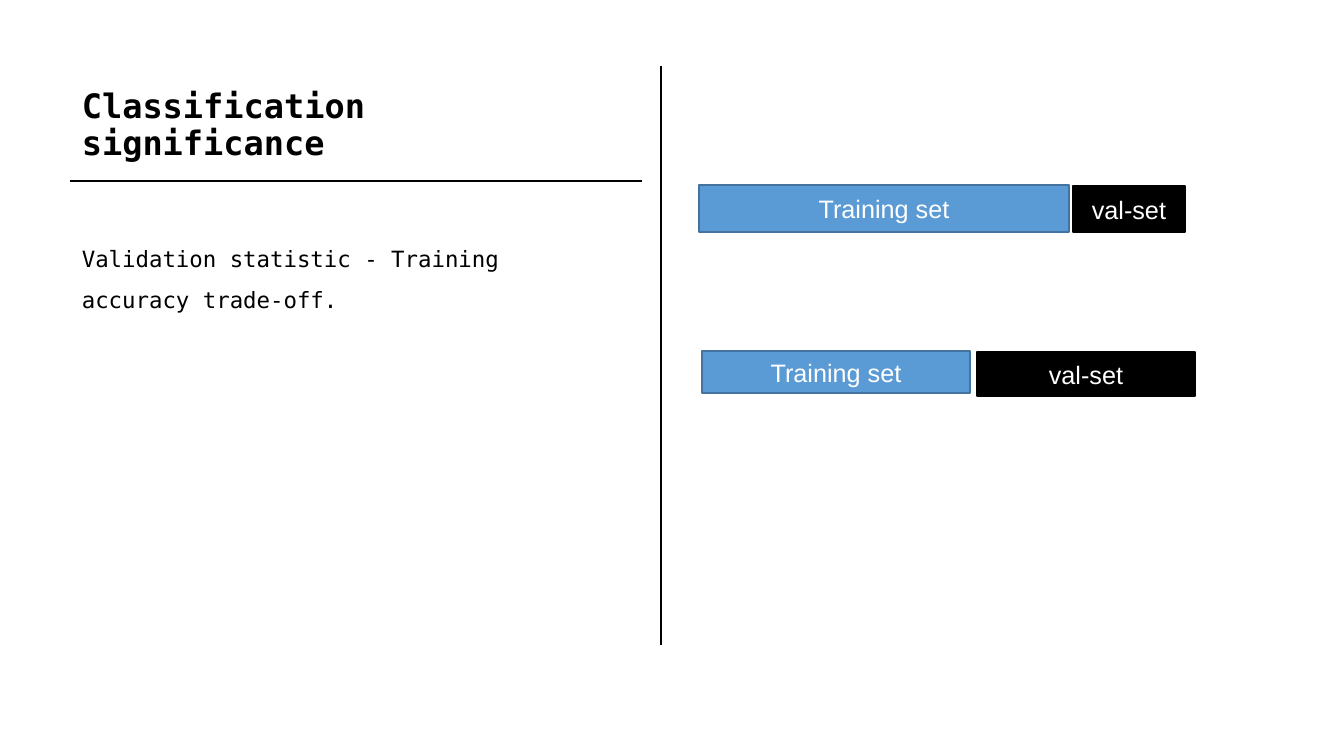
from lxml import etree
from pptx import Presentation
from pptx.dml.color import RGBColor
from pptx.enum import shapes, text
from pptx.oxml.ns import qn
from pptx.util import Pt

EMU_PER_PIXEL = 914400 / 100.8
BLACK = RGBColor(0x00, 0x00, 0x00)
WHITE = RGBColor(0xFF, 0xFF, 0xFF)
BLUE = RGBColor(0x5B, 0x9B, 0xD5)
DARK_BLUE = RGBColor(0x43, 0x73, 0x9E)
MONO = "DejaVu Sans Mono"
SANS = "Arial"


def px(*pixels):
    return [round(pixel * EMU_PER_PIXEL) for pixel in pixels]


def write(shape, words, font_name, size, color, anchor, bold=False):
    frame = shape.text_frame
    frame.word_wrap = True
    frame.vertical_anchor = anchor
    paragraph = frame.paragraphs[0]
    run = paragraph.add_run()
    run.text = words
    run.font.name = font_name
    run.font.size = Pt(size)
    run.font.bold = bold
    run.font.color.rgb = color
    return paragraph


def add_rule(slide, *ends):
    rule = slide.shapes.add_connector(shapes.MSO_CONNECTOR.STRAIGHT, *px(*ends))
    rule.line.color.rgb = BLACK
    rule.line.width = Pt(1.5)
    etree.SubElement(rule._element.spPr, qn("a:effectLst"))


def add_bar(slide, box, label, fill, outline):
    bar = slide.shapes.add_shape(shapes.MSO_SHAPE.RECTANGLE, *px(*box))
    bar.shadow.inherit = False
    bar.fill.solid()
    bar.fill.fore_color.rgb = fill
    bar.line.color.rgb = outline
    bar.line.width = Pt(1)
    paragraph = write(bar, label, SANS, 18, WHITE, text.MSO_ANCHOR.MIDDLE)
    paragraph.alignment = text.PP_ALIGN.CENTER


def add_text_column(slide, left, top, width, height):
    # Title above the horizontal rule
    title = slide.shapes.add_textbox(*px(left, top, width, 120))
    paragraph = write(title, "Classification significance", MONO, 24, BLACK,
                      text.MSO_ANCHOR.MIDDLE, bold=True)
    paragraph.line_spacing = 0.9
    add_rule(slide, left - 2, top + 115, left + 570, top + 115)

    # Body text
    body = slide.shapes.add_textbox(*px(left, top + 161, width, height - 161))
    paragraph = write(body, "Validation statistic - Training accuracy trade-off.",
                      MONO, 16, BLACK, text.MSO_ANCHOR.TOP)
    paragraph.line_spacing = 1.5
    paragraph.space_before = Pt(10)


def add_split(slide, left, top, training_size, validation_size, gap):
    # Training bar, then validation bar one pixel lower
    add_bar(slide, (left, top, *training_size), "Training set", BLUE, DARK_BLUE)
    validation_left = left + training_size[0] + gap
    add_bar(slide, (validation_left, top + 1, *validation_size), "val-set", BLACK, BLACK)


presentation = Presentation()
presentation.slide_width, presentation.slide_height = px(1344, 756)
slide = presentation.slides.add_slide(presentation.slide_layouts[6])

add_text_column(slide, 72, 66, 459, 581)

# Divider between the columns
add_rule(slide, 661, 66, 661, 645)

# Large and small training shares
add_split(slide, 699, 185, (370, 47), (112, 46), gap=4)
add_split(slide, 702, 351, (268, 42), (218, 44), gap=7)

presentation.save("out.pptx")
